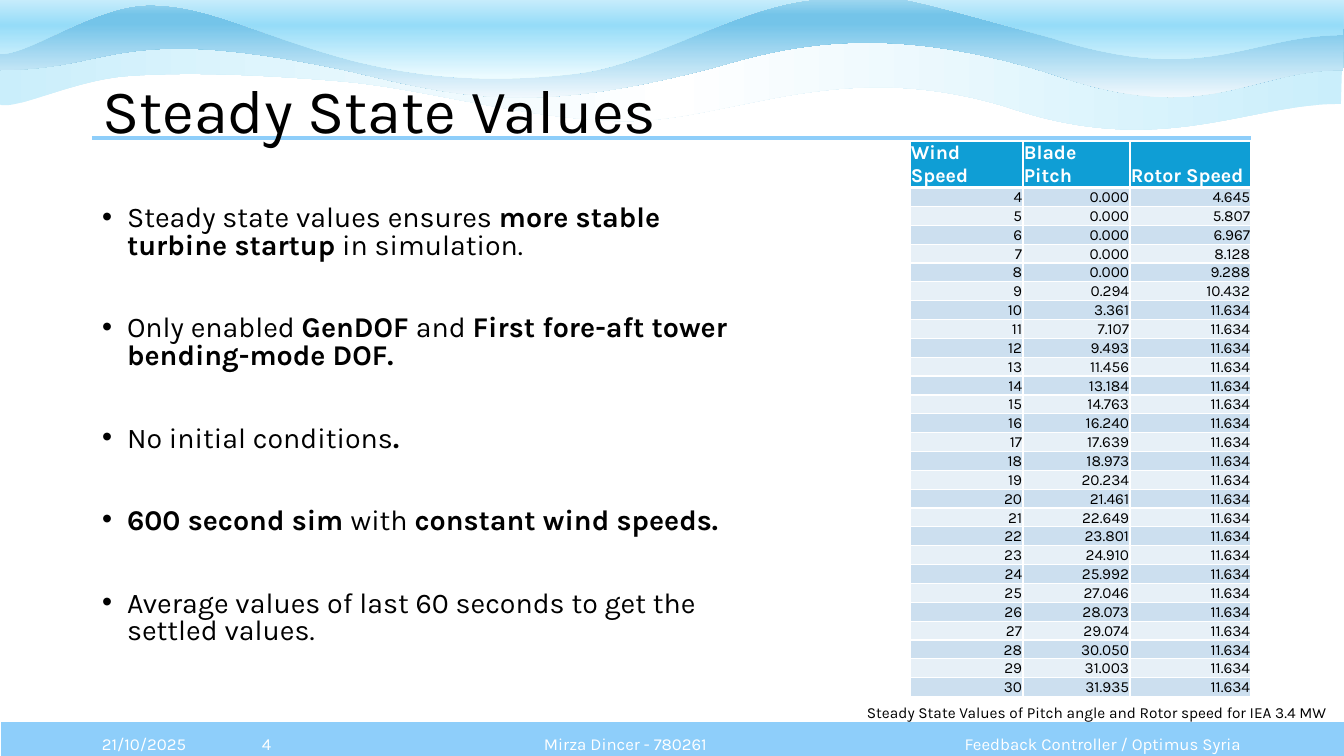
from lxml.etree import SubElement
from pptx import Presentation
from pptx.dml.color import RGBColor
from pptx.enum.shapes import MSO_CONNECTOR, MSO_SHAPE
from pptx.enum.text import MSO_ANCHOR, MSO_AUTO_SIZE, PP_ALIGN
from pptx.oxml.ns import qn
from pptx.util import Emu, Pt

FONT = "Karla"
COLORS = {
    "text": "000000", "white": "FFFFFF", "bar": "8ECEFA",
    "head": "0F9ED5", "odd": "CCDFEF", "even": "E7F0F7",
    "ice": "CAEEFB", "mist": "F0F8FD", "blue": "74C4E9",
    "haze": "A2D8F0", "foam": "EFFCFF", "sky": "96DCF8",
}

# Each wave: start, curve points (three per curve) along the lower edge,
# points of the upper edge, height, gradient stops and angle in degrees.
WAVES = [
    ((1341, 104),
     [(1248, 103), (1161, 160), (1007, 107),
      (834, 54), (727, 125), (615, 121),
      (514, 117), (424, 88), (338, 81),
      (251, 74), (184, 72), (128, 76),
      (72, 80), (14, 112), (-2, 104)],
     [(-4, 30), (315, 31), (657, 34), (949, 32), (1343, 34)],
     99, [(0, "ice"), (50, "white"), (100, "ice")], 0),
    ((1343, 70),
     [(1249, 70), (1206, 128), (1052, 74),
      (878, 19), (779, 49), (712, 68),
      (532, 115), (463, 98), (349, 71),
      (114, 21), (116, 70), (0, 70)],
     [(1, -1), (315, 0), (659, -2), (954, -1), (1344, 3)],
     99, [(0, "haze"), (17, "blue"), (26, "blue"), (100, "mist")], 90),
    ((1343, 35),
     [(1249, 35), (1206, 87), (1052, 38),
      (879, -9), (898, -7), (820, -1),
      (741, 4), (658, 62), (581, 73),
      (502, 83), (427, 80), (350, 60),
      (260, 36), (209, 5), (151, 5),
      (93, 4), (22, 61), (-3, 53)],
     [(1, -27), (315, -26), (659, -28), (954, -27), (1344, -24)],
     107, [(0, "white"), (50, "sky"), (100, "foam")], 90),
]

# Each point is a list of runs: text and whether it is bold.
POINTS = [
    [("Steady state values ensures ", False),
     ("more stable turbine startup", True), (" in simulation.", False)],
    [("Only enabled ", False), ("GenDOF ", True), ("and ", False),
     ("First fore-aft tower bending-mode DOF.", True)],
    [("No initial conditions", False), (".", True)],
    [("600 second sim ", True), ("with ", False),
     ("constant wind speeds.", True)],
    [("Average values of last 60 seconds to get the settled values.", False)],
]

HEADS = ["Wind Speed", "Blade Pitch", "Rotor Speed"]
PITCH = [0, 0, 0, 0, 0, 0.294, 3.361, 7.107, 9.493, 11.456, 13.184, 14.763,
         16.240, 17.639, 18.973, 20.234, 21.461, 22.649, 23.801, 24.910,
         25.992, 27.046, 28.073, 29.074, 30.050, 31.003, 31.935]
ROTOR = [4.645, 5.807, 6.967, 8.128, 9.288, 10.432] + [11.634] * 21


def px(n):
    return Emu(round(n * 914400 / 100.8))


def rgb(name):
    return RGBColor.from_string(COLORS[name])


def place(shape, box):
    shape.left, shape.top, shape.width, shape.height = map(px, box)


def style(par, size, color="text", align=PP_ALIGN.LEFT):
    par.alignment = align
    par.font.name, par.font.size = FONT, Pt(size)
    par.font.color.rgb = rgb(color)


def bend(shape, count):
    """Turn the first count line points of an outline into cubic curves."""
    path = shape._element.spPr.find(".//" + qn("a:path"))
    lines = path.findall(qn("a:lnTo"))[:count]
    for i in range(0, count, 3):
        curve = SubElement(path, qn("a:cubicBezTo"))
        lines[i].addprevious(curve)
        for line in lines[i:i + 3]:
            curve.append(line[0])
            path.remove(line)
    return path


def blend(shape, stops, angle):
    """Fill a shape with a linear gradient of any number of stops."""
    shape.fill.gradient()
    grad = shape._element.spPr.find(qn("a:gradFill"))
    for part in list(grad):
        grad.remove(part)
    group = SubElement(grad, qn("a:gsLst"))
    for pos, name in stops:
        stop = SubElement(group, qn("a:gs"), pos=str(pos * 1000))
        SubElement(stop, qn("a:srgbClr"), val=COLORS[name])
    SubElement(grad, qn("a:lin"), ang=str(angle * 60000), scaled="0")


def add_wave(slide, start, curves, edge, height, stops, angle):
    pen = slide.shapes.build_freeform(px(start[0]), px(start[1]))
    pen.add_line_segments([(px(x), px(y)) for x, y in curves + edge])
    wave = pen.convert_to_shape()
    # Curves stay inside their control points, so the height is trimmed.
    bend(wave, len(curves)).set("h", str(px(height)))
    wave.height = px(height)
    blend(wave, stops, angle)
    wave.line.fill.background()
    wave.shadow.inherit = False


def add_label(slide, box, text, size, color="text", align=PP_ALIGN.LEFT,
              anchor=MSO_ANCHOR.MIDDLE):
    label = slide.shapes.add_textbox(*map(px, box))
    frame = label.text_frame
    frame.word_wrap = True
    frame.vertical_anchor = anchor
    frame.text = text
    style(frame.paragraphs[0], size, color, align)


def add_title(slide, box):
    x, y, w, h = box
    rule = slide.shapes.add_connector(
        MSO_CONNECTOR.STRAIGHT, px(x), px(y + 97), px(x + w), px(y + 97))
    rule.line.color.rgb, rule.line.width = rgb("bar"), Pt(3)
    SubElement(rule._element.spPr, qn("a:effectLst"))
    title = slide.shapes.title
    slide.shapes._spTree.append(title._element)  # above the rule
    place(title, box)
    frame = title.text_frame
    frame.text = "Steady State Values"
    frame.auto_size = MSO_AUTO_SIZE.NONE
    frame.vertical_anchor = MSO_ANCHOR.MIDDLE
    frame.paragraphs[0].line_spacing = 0.9
    style(frame.paragraphs[0], 44)


def add_list(slide, box):
    body = slide.placeholders[1]
    slide.shapes._spTree.append(body._element)
    place(body, box)
    frame = body.text_frame
    frame.auto_size = MSO_AUTO_SIZE.NONE
    frame.vertical_anchor = MSO_ANCHOR.TOP
    for i, runs in enumerate(POINTS):
        par = frame.add_paragraph() if i else frame.paragraphs[0]
        props = par._p.get_or_add_pPr()
        props.set("marL", str(px(25)))
        props.set("indent", str(px(-25)))
        SubElement(props, qn("a:buFont"), typeface="Arial")
        SubElement(props, qn("a:buChar"), char="•")
        par.line_spacing = 0.8
        par.space_before = Pt(39.4 if i else 0)
        style(par, 20.4)
        for text, bold in runs:
            run = par.add_run()
            run.text, run.font.bold = text, bold


def set_cell(cell, text, fill, head):
    cell.text = text
    cell.vertical_anchor = MSO_ANCHOR.BOTTOM
    cell.margin_left = cell.margin_top = cell.margin_right = Pt(0.6)
    cell.margin_bottom = 0
    par = cell.text_frame.paragraphs[0]
    if head:
        style(par, 14, "white")
    else:
        style(par, 11, align=PP_ALIGN.RIGHT)
    par.font.bold = head
    props = cell._tc.get_or_add_tcPr()
    for side in "LRTB":
        width = Pt(3 if head and side == "B" else 1)
        edge = SubElement(props, qn(f"a:ln{side}"), w=str(width))
        paint = SubElement(edge, qn("a:solidFill"))
        SubElement(paint, qn("a:srgbClr"), val=COLORS["white"])
    cell.fill.solid()
    cell.fill.fore_color.rgb = rgb(fill)


def add_values(slide, box):
    rows = [HEADS] + [[str(n), f"{p:.3f}", f"{r:.3f}"]
                      for n, (p, r) in enumerate(zip(PITCH, ROTOR), 4)]
    table = slide.shapes.add_table(len(rows), 3, *map(px, box)).table
    for col, width in zip(table.columns, (113, 107, 121)):
        col.width = px(width)
    for i, row in enumerate(rows):
        table.rows[i].height = px(18 if i else 35)
        fill = ("odd" if i % 2 else "even") if i else "head"
        for j, text in enumerate(row):
            set_cell(table.cell(i, j), text, fill, i == 0)
    x, y, w, h = box
    add_label(slide, (x - 53, y + h + 1, 486, 29),
              "Steady State Values of Pitch angle and Rotor speed for IEA 3.4 MW",
              11, anchor=MSO_ANCHOR.TOP)


def add_footer(slide, box):
    x, y, w, h = box
    bar = slide.shapes.add_shape(MSO_SHAPE.RECTANGLE, *map(px, box))
    bar.shadow.inherit = False
    bar.fill.solid()
    bar.fill.fore_color.rgb = rgb("bar")
    bar.line.color.rgb, bar.line.width = rgb("white"), Pt(1.5)
    for left, width, text, align in [
        (317, 617, "Mirza Dincer - 780261", PP_ALIGN.CENTER),
        (92, 123, "21/10/2025", PP_ALIGN.LEFT),
        (933, 318, "Feedback Controller / Optimus Syria", PP_ALIGN.RIGHT),
        (215, 103, "4", PP_ALIGN.CENTER),
    ]:
        add_label(slide, (x + left, y + 3, width, h), text, 12, "white", align)


def main():
    deck = Presentation()
    deck.slide_width, deck.slide_height = px(1344), px(756)
    slide = deck.slides.add_slide(deck.slide_layouts[1])
    for wave in WAVES:
        add_wave(slide, *wave)
    add_footer(slide, (0, 721, 1346, 40))
    add_title(slide, (92, 41, 1159, 146))
    add_list(slide, (92, 201, 681, 480))
    add_values(slide, (910, 141, 341, 556))
    deck.save("out.pptx")


if __name__ == "__main__":
    main()
